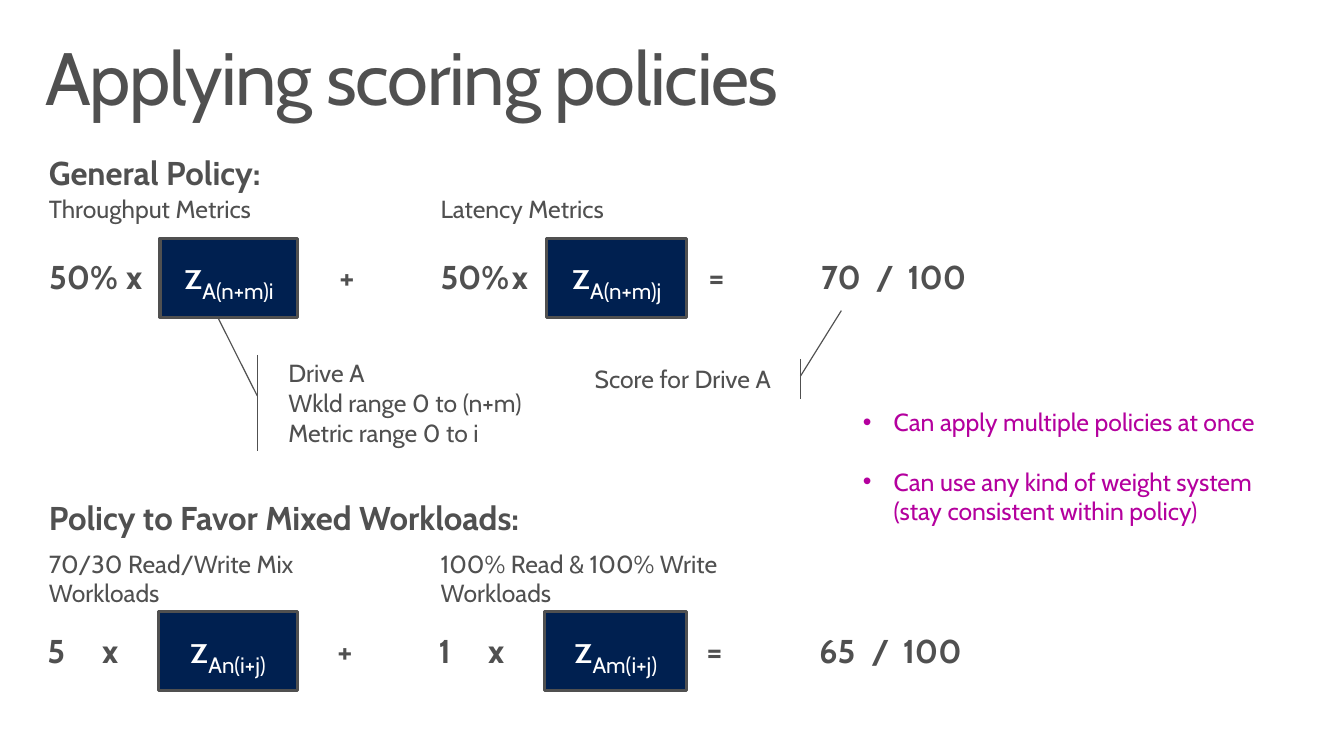
import pptx
import pptx.dml.color
import pptx.enum.shapes
import pptx.enum.text
import pptx.oxml.ns
import pptx.util
from lxml import etree

Pt = pptx.util.Pt
ALIGN = pptx.enum.text.PP_ALIGN
ANCHOR = pptx.enum.text.MSO_ANCHOR
AUTO_SIZE = pptx.enum.text.MSO_AUTO_SIZE
SHAPES = pptx.enum.shapes.MSO_SHAPE

# Content
FONT = "Cabin"
GRAY, NAVY, MAGENTA, WHITE = "505050", "002050", "B4009E", "FFFFFF"
TITLE = "Applying scoring policies"

# Each term: metric label, its width, weight, tab stop of the "x", subscript of z
POLICIES = [
    {
        "heading": "General Policy:", "heading_width": 231, "left": 28.8,
        "heading_top": 107.3, "label_top": 137.5, "formula_top": 183.6,
        "terms": [
            ("Throughput Metrics", 168.5, "50%\tx", 56, "A(n+m)i"),
            ("Latency Metrics", 168.5, "50%\tx", 52, "A(n+m)j"),
        ],
        "score": "70\t/\t100", "score_tabs": [40, 63],
    },
    {
        "heading": "Policy to Favor Mixed Workloads:", "heading_width": 467, "left": 27.4,
        "heading_top": 359.3, "label_top": 396, "formula_top": 455.8,
        "terms": [
            ("70/30 Read/Write Mix Workloads", 267, "5\tx", 40, "An(i+j)"),
            ("100% Read & 100% Write Workloads", 291, "1\tx", 36, "Am(i+j)"),
        ],
        "score": "65\t/\t100", "score_tabs": [38, 61],
    },
]

# Text, position and size, alignment, callout adjustments
CALLOUTS = [
    ("Drive A\nWkld range 0 to (n+m)\nMetric range 0 to i",
     (203, 258.5, 194.4, 69.8), ALIGN.LEFT, (0.43, -0.08, -0.375, -0.225)),
    ("Score for Drive A",
     (388, 261.4, 180.7, 29.5), ALIGN.RIGHT, (0.43, 1.08, -1.19, 1.245)),
]
REMARKS = [
    "Can apply multiple policies at once",
    "Can use any kind of weight system\v(stay consistent within policy)",
]

# Layout of a formula, measured from the left edge of its policy
TERM_OFFSETS = [0, 285.1]
BOX_OFFSETS = [87.8, 369.4]
BOX_RIGHTS = [217, 500.4]
SIGNS = [("+", 180.7), ("=", 450)]
SCORE_OFFSET = 562.3
LABEL_LEFTS = [28.5, 313.9]
BOX_HEIGHT, BOX_RISE = 57.6, 10.1
SIGN_WIDTH, SIGN_HEIGHT = 86.4, 36.7


def color(value):
    return pptx.dml.color.RGBColor.from_string(value)


def place(shape, left, top, width, height):
    shape.left, shape.top, shape.width, shape.height = map(Pt, (left, top, width, height))


def format_text(text_frame, size, fill, bold=False, align=ALIGN.LEFT):
    for paragraph in text_frame.paragraphs:
        paragraph.alignment = align
        for run in paragraph.runs:
            run.font.name = FONT
            run.font.size = Pt(size)
            run.font.bold = bold
            run.font.color.rgb = color(fill)


def add_child(parent, tag, **attributes):
    return etree.SubElement(parent, pptx.oxml.ns.qn(tag), **attributes)


def add_text(slide, text, box, size, bold=False, align=ALIGN.LEFT, tabs=()):
    text_frame = slide.shapes.add_textbox(*map(Pt, box)).text_frame
    text_frame.word_wrap = True
    text_frame.auto_size = AUTO_SIZE.SHAPE_TO_FIT_TEXT
    text_frame.text = text
    if tabs:
        tab_list = add_child(text_frame.paragraphs[0]._p.get_or_add_pPr(), "a:tabLst")
        for stop in tabs:
            add_child(tab_list, "a:tab", pos=str(int(Pt(stop))), algn="l")
    format_text(text_frame, size, GRAY, bold, align)


def add_shape(slide, kind, box, fill, line_width):
    shape = slide.shapes.add_shape(kind, *map(Pt, box))
    shape.shadow.inherit = False
    shape.fill.solid()
    shape.fill.fore_color.rgb = color(fill)
    shape.line.color.rgb = color(GRAY)
    shape.line.width = Pt(line_width)
    shape.text_frame.word_wrap = True
    shape.text_frame.vertical_anchor = ANCHOR.MIDDLE
    return shape


def add_z_box(slide, subscript, box):
    shape = add_shape(slide, SHAPES.RECTANGLE, box, NAVY, 2.25)
    paragraph = shape.text_frame.paragraphs[0]
    for text in ("z", subscript):
        paragraph.add_run().text = text
    format_text(shape.text_frame, 28, WHITE, align=ALIGN.CENTER)
    paragraph.runs[1].font._element.set("baseline", "-25000")


def add_policy(slide, policy):
    left, top = policy["left"], policy["formula_top"]
    add_text(slide, policy["heading"],
             (LABEL_LEFTS[0], policy["heading_top"], policy["heading_width"], 36), 24, True)
    columns = zip(policy["terms"], LABEL_LEFTS, TERM_OFFSETS, BOX_OFFSETS, BOX_RIGHTS)
    for term, label_left, term_offset, box_offset, box_right in columns:
        label, label_width, weight, tab, subscript = term
        add_text(slide, label, (label_left, policy["label_top"], label_width, 29), 18)
        box_left = left + box_offset
        add_z_box(slide, subscript,
                  (box_left, top - BOX_RISE, box_right - box_left, BOX_HEIGHT))
        add_text(slide, weight, (left + term_offset, top, SIGN_WIDTH, SIGN_HEIGHT),
                 24, True, tabs=[tab])
    for sign, offset in SIGNS:
        add_text(slide, sign, (left + offset, top, SIGN_WIDTH, SIGN_HEIGHT),
                 24, True, ALIGN.CENTER)
    add_text(slide, policy["score"], (left + SCORE_OFFSET, top, 129, SIGN_HEIGHT),
             24, True, tabs=policy["score_tabs"])


def fill_title(title):
    place(title, 21.6, 23, 936, 72)
    text_frame = title.text_frame
    text_frame.text = TITLE
    text_frame.auto_size = AUTO_SIZE.NONE
    text_frame.vertical_anchor = ANCHOR.TOP
    text_frame.margin_left = text_frame.margin_right = Pt(11.5)
    text_frame.margin_top = text_frame.margin_bottom = Pt(7.2)
    format_text(text_frame, 54, GRAY)
    text_frame.paragraphs[0].line_spacing = 0.9
    text_frame.paragraphs[0].runs[0].font._element.set("spc", "-100")


def fill_remarks(body):
    place(body, 621.4, 293, 316.8, 94.3)
    text_frame = body.text_frame
    text_frame.text = "\n".join(REMARKS)
    text_frame.auto_size = AUTO_SIZE.NONE
    for index, paragraph in enumerate(text_frame.paragraphs):
        properties = paragraph._p.get_or_add_pPr()
        properties.set("marL", str(int(Pt(22.5))))
        properties.set("indent", str(int(Pt(-22.5))))
        add_child(properties, "a:buChar", char="•")
        paragraph.space_before = Pt(21.6 if index else 0)
    format_text(text_frame, 18, MAGENTA)


def main():
    presentation = pptx.Presentation()
    presentation.slide_width, presentation.slide_height = Pt(979.2), Pt(550.8)
    slide = presentation.slides.add_slide(presentation.slide_layouts[1])

    # Title and remarks
    fill_title(slide.shapes.title)
    fill_remarks(slide.placeholders[1])

    # Formulas
    for policy in POLICIES:
        add_policy(slide, policy)

    # Callouts
    for text, box, align, adjustments in CALLOUTS:
        callout = add_shape(slide, SHAPES.LINE_CALLOUT_1_ACCENT_BAR, box, WHITE, 0.85)
        for index, value in enumerate(adjustments):
            callout.adjustments[index] = value
        callout.text_frame.text = text
        format_text(callout.text_frame, 18, GRAY, align=align)

    presentation.save("out.pptx")


if __name__ == "__main__":
    main()
